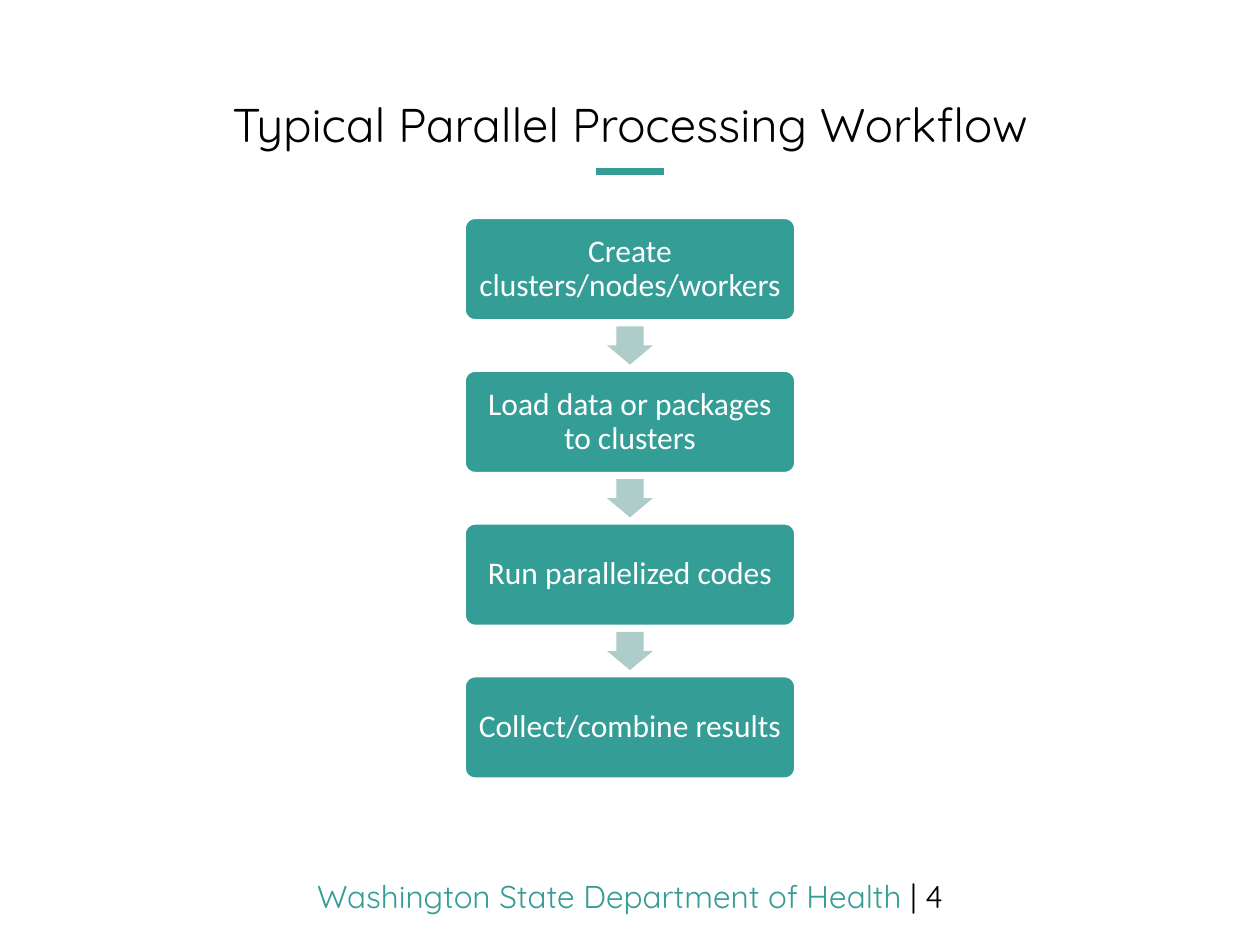
import pptx
import pptx.dml.color
import pptx.enum.shapes
import pptx.enum.text
import pptx.oxml
import pptx.util
from pptx.util import Cm

SHAPE = pptx.enum.shapes.MSO_SHAPE
WIDTH, HEIGHT = 25.4, 19.05
STEPS = [
    "Create clusters/nodes/workers",
    "Load data or packages to clusters",
    "Run parallelized codes",
    "Collect/combine results",
]


def rgb(value):
    return pptx.dml.color.RGBColor.from_string(value)


class Deck:
    """Holds the style and the current slide."""

    teal, pale, black, white = "349D96", "AECCC9", "000000", "FFFFFF"
    heading_font, body_font = "Quicksand", "Calibri"

    def __init__(self):
        self.prs = pptx.Presentation()
        self.prs.slide_width, self.prs.slide_height = Cm(WIDTH), Cm(HEIGHT)
        self.s = self.prs.slides.add_slide(self.prs.slide_layouts[6])

    def fill_text(self, tf, parts, font, size, spacing=None):
        """Fill a frame with one centred paragraph of (text, colour) parts."""
        tf.word_wrap = True
        tf.vertical_anchor = pptx.enum.text.MSO_ANCHOR.MIDDLE
        p = tf.paragraphs[0]
        p.alignment = pptx.enum.text.PP_ALIGN.CENTER
        p.line_spacing = spacing
        for text, color in parts:
            r = p.add_run()
            r.text = text
            r.font.name, r.font.size = font, pptx.util.Pt(size)
            r.font.color.rgb = rgb(color)

    def text(self, top, height, parts, size, spacing=None):
        sp = self.s.shapes.add_textbox(0, Cm(top), Cm(WIDTH), Cm(height))
        self.fill_text(sp.text_frame, parts, self.heading_font, size, spacing)

    def rule(self, top, length):
        left = (WIDTH - length) / 2
        sp = self.s.shapes.add_connector(
            pptx.enum.shapes.MSO_CONNECTOR.STRAIGHT,
            Cm(left), Cm(top), Cm(left + length), Cm(top))
        sp.line.color.rgb = rgb(self.teal)
        sp.line.width = pptx.util.Pt(4)
        sp._element.spPr.append(pptx.oxml.parse_xml(
            '<a:effectLst xmlns:a="http://schemas.openxmlformats.org/drawingml/2006/main"/>'))

    def shape(self, kind, top, width, height, fill, adjustments):
        """Add a filled shape centred across the slide."""
        sp = self.s.shapes.add_shape(
            kind, Cm((WIDTH - width) / 2), Cm(top), Cm(width), Cm(height))
        sp.shadow.inherit = False
        sp.fill.solid()
        sp.fill.fore_color.rgb = rgb(fill)
        sp.line.fill.background()
        for i, value in enumerate(adjustments):
            sp.adjustments[i] = value
        return sp

    def box(self, top, width, height, text):
        sp = self.shape(SHAPE.ROUNDED_RECTANGLE, top, width, height, self.teal, [0.1])
        sp.line.color.rgb = rgb(self.white)
        sp.line.width = pptx.util.Pt(1)
        tf = sp.text_frame
        tf.margin_left = tf.margin_right = tf.margin_top = tf.margin_bottom = Cm(0.17)
        self.fill_text(tf, [(text, self.white)], self.body_font, 18, 0.9)

    def arrow(self, middle, width, height):
        self.shape(SHAPE.DOWN_ARROW, middle - height / 2, width, height,
                   self.pale, [0.6, 0.5])


def main():
    deck = Deck()
    deck.rule(3.45, 1.38)
    deck.text(17.55, 1.02, [("Washington State Department of Health ", deck.teal),
                            ("| 4", deck.black)], 18)
    deck.text(1.88, 1.35, [("Typical Parallel Processing Workflow", deck.black)], 27, 0.9)

    first_top, box_height, gap = 4.4, 2.05, 1.03
    for i, step in enumerate(STEPS):
        top = first_top + i * (box_height + gap)
        if i:
            deck.arrow(top - gap / 2, 0.92, 0.77)
        deck.box(top, 6.65, box_height, step)
    deck.prs.save("out.pptx")


if __name__ == "__main__":
    main()
